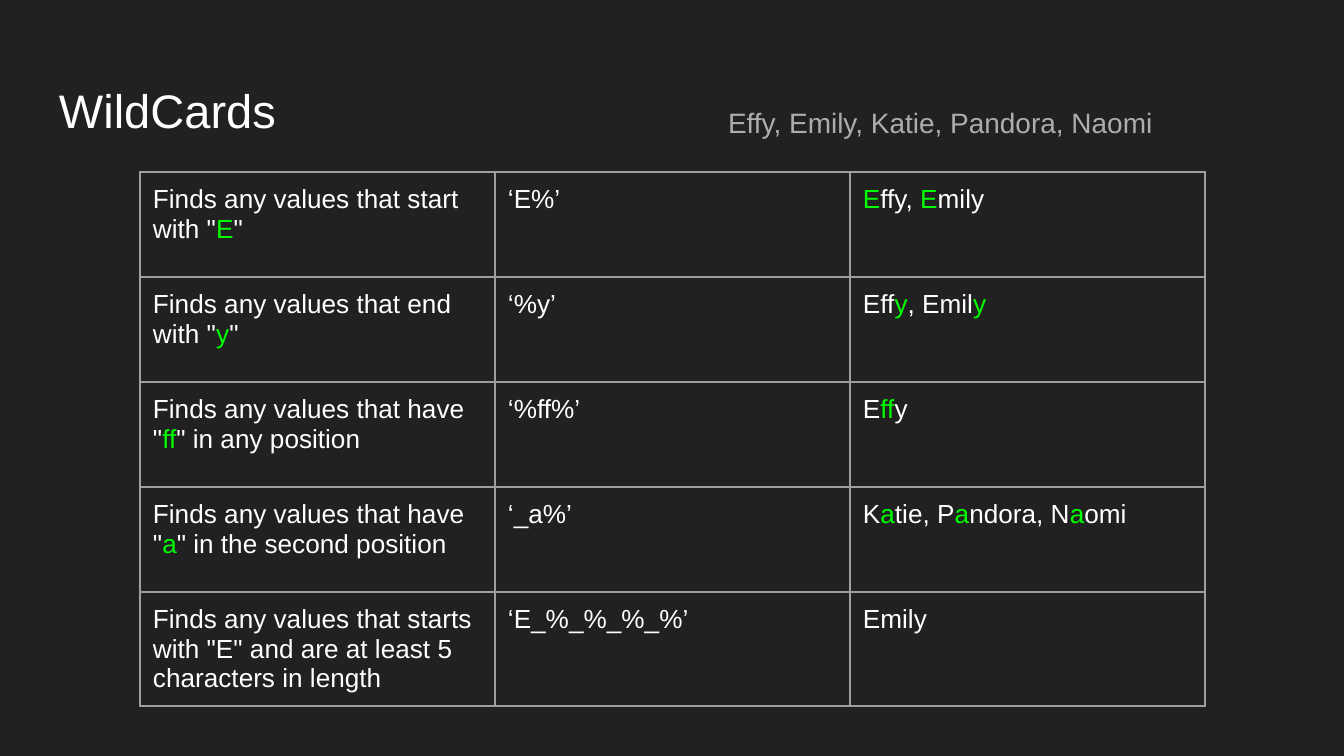
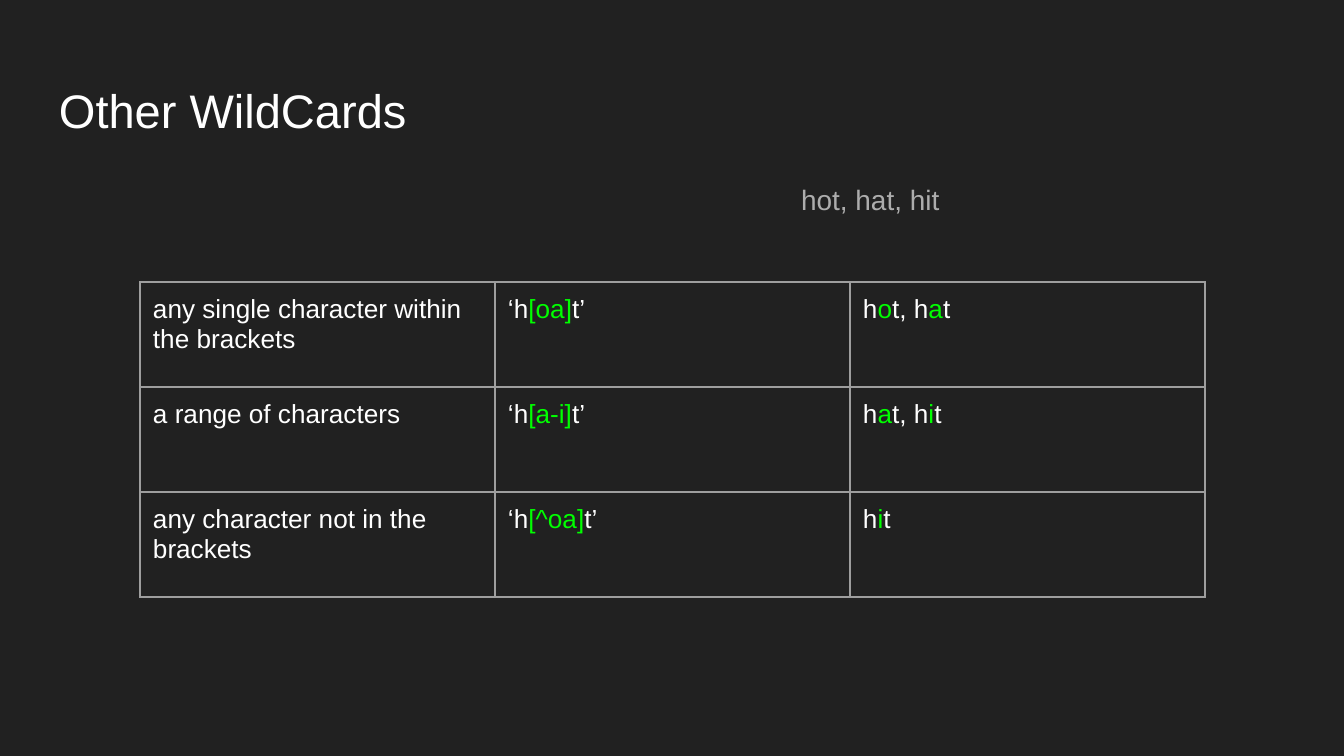
from lxml.etree import SubElement
from pptx import Presentation
from pptx.dml.color import RGBColor
from pptx.enum.text import MSO_ANCHOR, MSO_AUTO_SIZE, PP_ALIGN
from pptx.oxml.ns import qn
from pptx.util import Emu, Pt

SLIDES = [
    {
        "title": "WildCards",
        "names": "Effy, Emily, Katie, Pandora, Naomi",
        "names_at": (715, 87),
        "table_top": 172,
        "row_heights": [105, 105, 105, 105, 69],
        "rows": [
            ('Finds any values that start with "|E|"', "‘E%’", "|E|ffy, |E|mily"),
            ('Finds any values that end with "|y|"', "‘%y’", "Eff|y|, Emil|y|"),
            ('Finds any values that have "|ff|" in any position', "‘%ff%’", "E|ff|y"),
            ('Finds any values that have "|a|" in the second position', "‘_a%’",
             "K|a|tie, P|a|ndora, N|a|omi"),
            ('Finds any values that starts with "E" and are at least 5 characters in length',
             "‘E_%_%_%_%’", "Emily"),
        ],
    },
    {
        "title": "Other WildCards",
        "names": "hot, hat, hit",
        "names_at": (788, 164),
        "table_top": 282,
        "row_heights": [105, 105, 105],
        "rows": [
            ("any single character within the brackets", "‘h|[oa]|t’", "h|o|t, h|a|t"),
            ("a range of characters", "‘h|[a-i]|t’", "h|a|t, h|i|t"),
            ("any character not in the brackets", "‘h|[^oa]|t’", "h|i|t"),
        ],
    },
]

COLOURS = {
    "background": "212121",
    "text": "FFFFFF",
    "match": "00FF00",
    "names": "ADADAD",
    "border": "9E9E9E",
}
FONT = "Arial"
SLIDE_SIZE = (1344, 756)
TITLE_BOX = (46, 66, 1253, 85)
NAMES_SIZE = (544, 85)
TABLE_LEFT, COLUMN_WIDTH = 140, 355
INSET = 13


def px(length):
    return Emu(round(length * 914400 / 134.4))


def colour(name):
    return RGBColor.from_string(COLOURS[name])


def add_spans(para, marked_text, size, base):
    for index, piece in enumerate(marked_text.split("|")):
        if piece:
            span = para.add_run()
            span.text = piece
            span.font.name = FONT
            span.font.size = Pt(size)
            span.font.color.rgb = colour("match" if index % 2 else base)


def set_insets(target):
    target.margin_left = target.margin_right = px(INSET)
    target.margin_top = target.margin_bottom = px(INSET)


def fill_placeholder(box, place, text, size, base, anchor):
    box.left, box.top, box.width, box.height = map(px, place)
    frame = box.text_frame
    frame.word_wrap = True
    frame.auto_size = MSO_AUTO_SIZE.NONE
    frame.vertical_anchor = anchor
    set_insets(frame)
    para = frame.paragraphs[0]
    para.alignment = PP_ALIGN.LEFT
    para.space_before = Pt(0)
    add_spans(para, text, size, base)
    return para


def add_names(box, place, text):
    para = fill_placeholder(box, place, text, 15, "names", MSO_ANCHOR.TOP)
    para.line_spacing = 1.15
    para.space_after = Pt(12)
    properties = para._p.get_or_add_pPr()
    properties.set("marL", "0")
    properties.set("indent", "0")
    SubElement(properties, qn("a:buNone"))


def add_borders(cell):
    properties = cell._tc.get_or_add_tcPr()
    for side in ("L", "R", "T", "B"):
        line = SubElement(properties, qn(f"a:ln{side}"), w=str(Pt(0.75)))
        fill = SubElement(line, qn("a:solidFill"))
        SubElement(fill, qn("a:srgbClr"), val=COLOURS["border"])


def add_wildcard_table(slide, top, heights, rows):
    columns = len(rows[0])
    table = slide.shapes.add_table(
        len(rows), columns, px(TABLE_LEFT), px(top),
        px(COLUMN_WIDTH * columns), px(sum(heights)),
    ).table
    table.first_row = table.horz_banding = False
    for column in table.columns:
        column.width = px(COLUMN_WIDTH)
    for row, height, texts in zip(table.rows, heights, rows):
        row.height = px(height)
        for cell, text in zip(row.cells, texts):
            set_insets(cell)
            add_borders(cell)
            cell.fill.background()
            add_spans(cell.text_frame.paragraphs[0], text, 14, "text")


def main():
    deck = Presentation()
    deck.slide_width, deck.slide_height = map(px, SLIDE_SIZE)
    background = deck.slide_master.background.fill
    background.solid()
    background.fore_color.rgb = colour("background")
    for page in SLIDES:
        slide = deck.slides.add_slide(deck.slide_layouts[1])
        fill_placeholder(slide.shapes.title, TITLE_BOX, page["title"], 25.2, "text",
                         MSO_ANCHOR.BOTTOM)
        add_names(slide.placeholders[1], page["names_at"] + NAMES_SIZE, page["names"])
        add_wildcard_table(slide, page["table_top"], page["row_heights"], page["rows"])
    deck.save("out.pptx")


if __name__ == "__main__":
    main()
